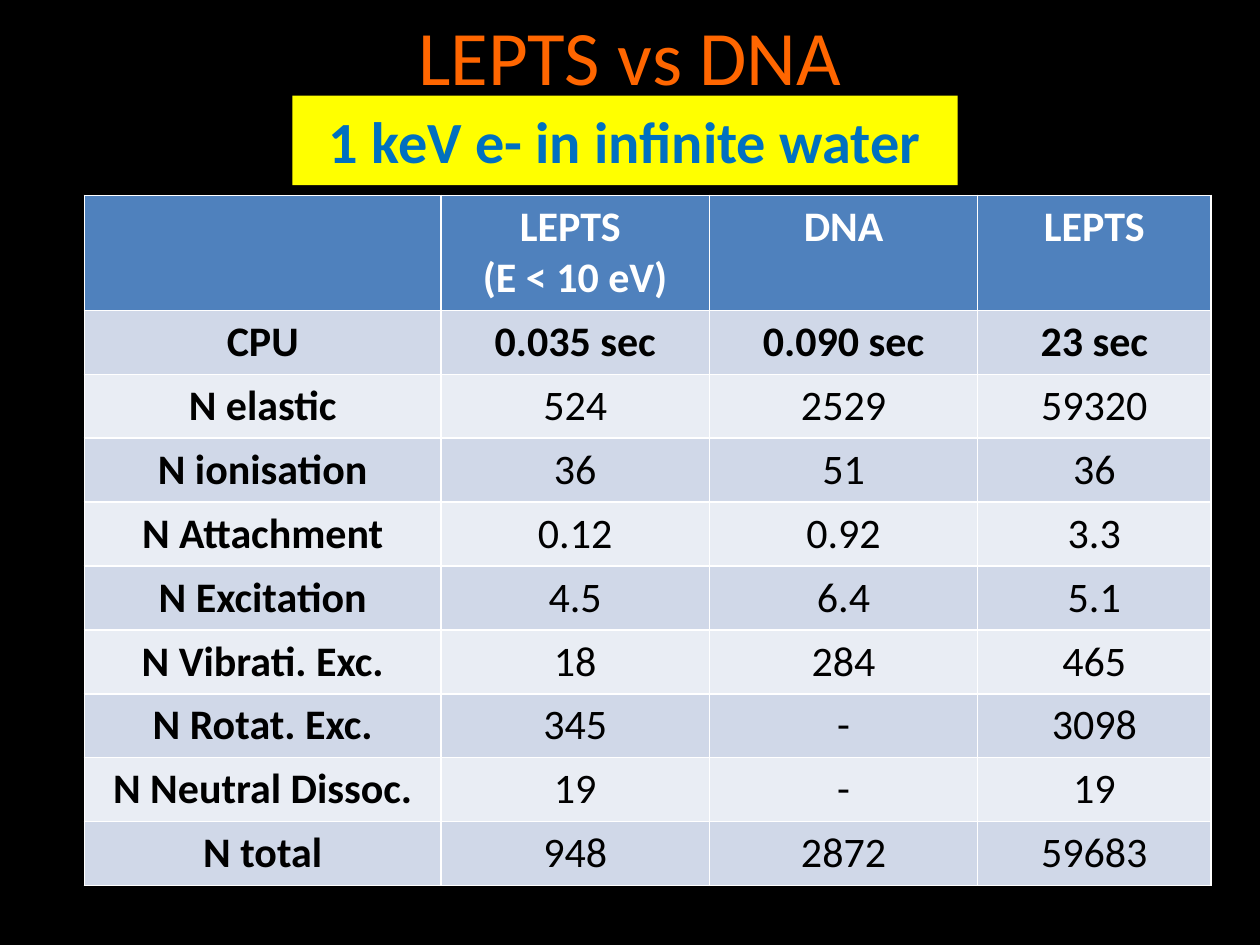
from pptx import Presentation
from pptx.dml.color import RGBColor
from pptx.enum.shapes import MSO_SHAPE
from pptx.enum.text import MSO_ANCHOR, PP_ALIGN
from pptx.util import Inches, Pt

BLACK = RGBColor(0x00, 0x00, 0x00)
WHITE = RGBColor(0xFF, 0xFF, 0xFF)
ORANGE = RGBColor(0xFF, 0x66, 0x00)
YELLOW = RGBColor(0xFF, 0xFF, 0x00)
BLUE = RGBColor(0x00, 0x70, 0xC0)
HEAD = RGBColor(0x4F, 0x81, 0xBD)
BANDS = [RGBColor(0xE9, 0xED, 0xF4), RGBColor(0xD0, 0xD8, 0xE8)]

ROWS = [
    ["", "LEPTS \n(E < 10 eV)", "DNA", "LEPTS"],
    ["CPU", "0.035 sec", "0.090 sec", "23 sec"],
    ["N elastic", "524", "2529", "59320"],
    ["N ionisation", "36", "51", "36"],
    ["N Attachment", "0.12", "0.92", "3.3"],
    ["N Excitation", "4.5", "6.4", "5.1"],
    ["N Vibrati. Exc.", "18", "284", "465"],
    ["N Rotat. Exc.", "345", "-", "3098"],
    ["N Neutral Dissoc.", "19", "-", "19"],
    ["N total", "948", "2872", "59683"],
]
WIDTHS = [2.83, 2.13, 2.13, 1.85]


def write(frame, text, size, color, bold=False):
    """Fill a text frame with centred paragraphs, one for each line."""
    for i, line in enumerate(text.split("\n")):
        para = frame.add_paragraph() if i else frame.paragraphs[0]
        para.alignment = PP_ALIGN.CENTER
        run = para.add_run()
        run.text = line
        font = run.font
        font.name, font.size, font.bold = "Calibri", Pt(size), bold
        font.color.rgb = color


prs = Presentation()
prs.slide_width, prs.slide_height = Inches(10), Inches(7.5)
slide = prs.slides.add_slide(prs.slide_layouts[5])
slide.background.fill.solid()
slide.background.fill.fore_color.rgb = BLACK

title = slide.shapes.title
title.left, title.top = Inches(0.5), Inches(-0.19)
title.width, title.height = Inches(9), Inches(1.25)
title.text_frame.vertical_anchor = MSO_ANCHOR.MIDDLE
write(title.text_frame, "LEPTS vs DNA", 44, ORANGE)

label = slide.shapes.add_shape(
    MSO_SHAPE.RECTANGLE, Inches(2.32), Inches(0.76), Inches(5.28), Inches(0.71))
label.shadow.inherit = False
label.fill.solid()
label.fill.fore_color.rgb = YELLOW
label.line.fill.background()
label.text_frame.vertical_anchor = MSO_ANCHOR.MIDDLE
write(label.text_frame, "1 keV e- in infinite water", 33.3, BLUE, True)

# The default table style draws the white grid and the thick line under the header.
table = slide.shapes.add_table(
    len(ROWS), len(WIDTHS), Inches(0.67), Inches(1.55),
    Inches(sum(WIDTHS)), Inches(5.4)).table
for col, width in zip(table.columns, WIDTHS):
    col.width = Inches(width)
for r, row in enumerate(ROWS):
    table.rows[r].height = Inches(0.5 if r else 0.9)
    for c, text in enumerate(row):
        cell = table.cell(r, c)
        cell.fill.solid()
        cell.fill.fore_color.rgb = BANDS[r % 2] if r else HEAD
        if text:
            write(cell.text_frame, text, 24, BLACK if r else WHITE, r < 2 or c == 0)

prs.save("out.pptx")
